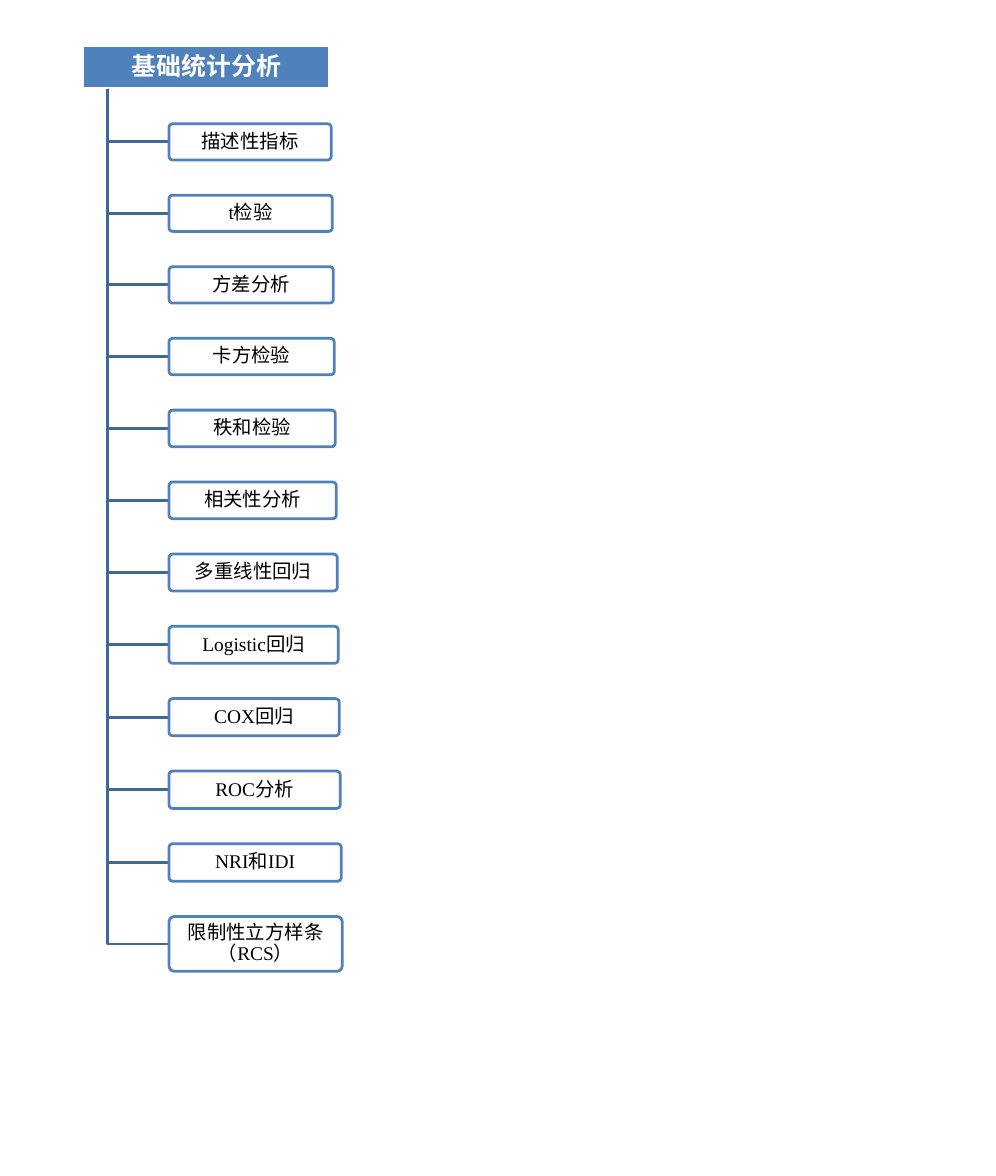
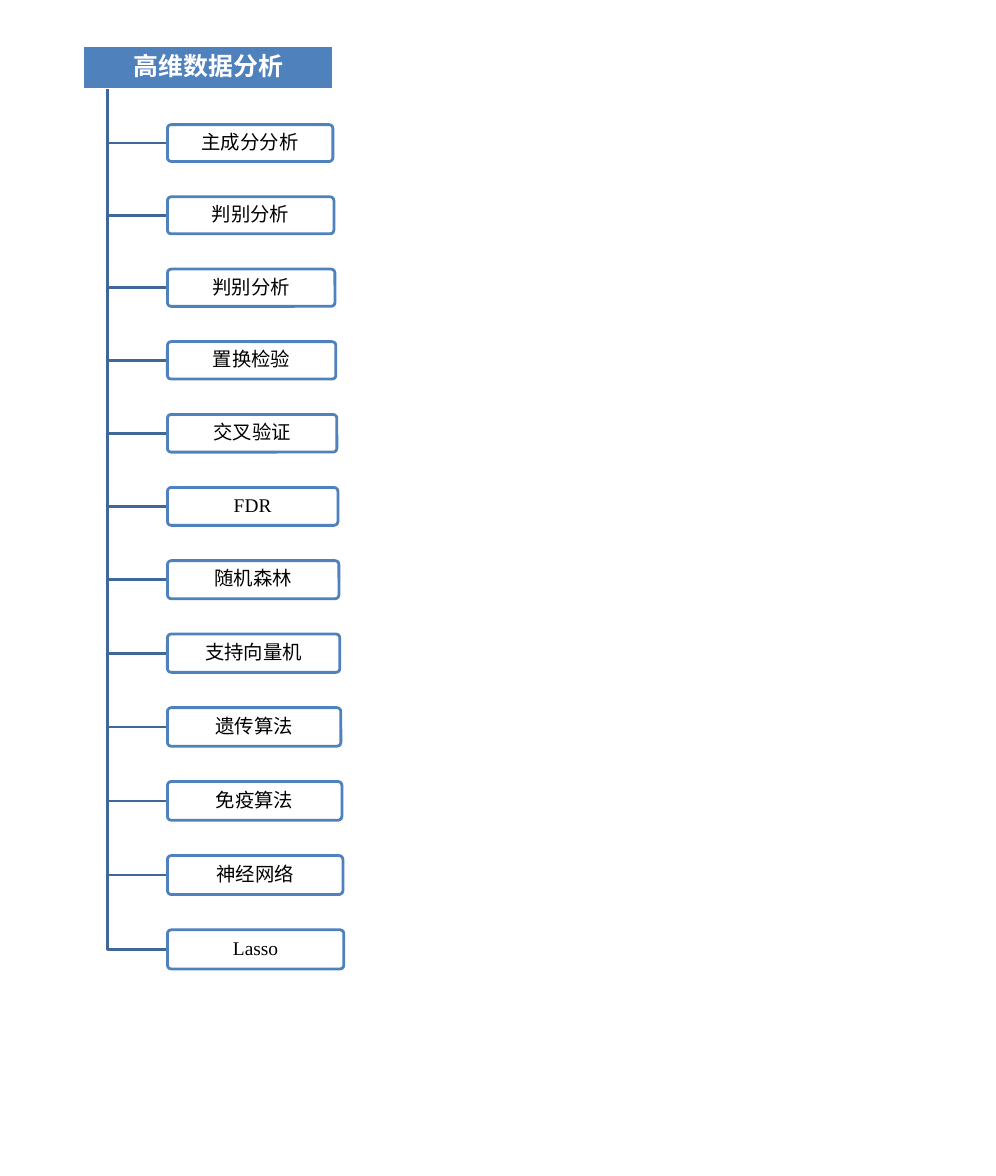
"""Build two slides that each show a heading with a tree of statistical methods."""
from pptx import Presentation
from pptx.dml.color import RGBColor
from pptx.enum.shapes import MSO_SHAPE
from pptx.enum.text import MSO_ANCHOR, MSO_AUTO_SIZE, PP_ALIGN
from pptx.oxml.xmlchemy import OxmlElement
from pptx.util import Cm, Pt

ROUNDED = MSO_SHAPE.ROUNDED_RECTANGLE
MIDDLE = MSO_ANCHOR.MIDDLE
NO_AUTOFIT = MSO_AUTO_SIZE.NONE
CENTER = PP_ALIGN.CENTER

BLUE = RGBColor(0x4F, 0x81, 0xBD)
DARK_BLUE = RGBColor(0x3F, 0x67, 0x97)
WHITE = RGBColor(0xFF, 0xFF, 0xFF)
BLACK = RGBColor(0x00, 0x00, 0x00)

TREES = [
    {
        "title": "基础统计分析",
        "title_size": (6.3, 1.09),
        "branch_left": 4.31,
        "widths": (4.14, 4.42),
        "heights": (0.92, 0.96),
        "tall": {"限制性立方样条（RCS）": 1.4},
        "methods": [
            "描述性指标", "t检验", "方差分析", "卡方检验", "秩和检验", "相关性分析",
            "多重线性回归", "Logistic回归", "COX回归", "ROC分析", "NRI和IDI",
            "限制性立方样条（RCS）",
        ],
    },
    {
        "title": "高维数据分析",
        "title_size": (6.4, 1.11),
        "branch_left": 4.27,
        "widths": (4.22, 4.5),
        "heights": (0.94, 1.0),
        "tall": {},
        "methods": [
            "主成分分析", "判别分析", "判别分析", "置换检验", "交叉验证", "FDR",
            "随机森林", "支持向量机", "遗传算法", "免疫算法", "神经网络", "Lasso",
        ],
    },
]

TITLE_LEFT, TITLE_TOP = 2.11, 1.17
GAP = 0.9
CORNER = 0.1
LINE_WIDTH = Pt(2)


def write_text(shape, text, *, size, color, font, bold=False, inset=(0.08, 0.05)):
    frame = shape.text_frame
    frame.word_wrap = True
    frame.auto_size = NO_AUTOFIT
    frame.vertical_anchor = MIDDLE
    frame.margin_left = frame.margin_right = Cm(inset[0])
    frame.margin_top = frame.margin_bottom = Cm(inset[1])
    paragraph = frame.paragraphs[0]
    paragraph.alignment = CENTER
    paragraph.line_spacing = 0.9
    run = paragraph.add_run()
    run.text = text
    run.font.size = Pt(size)
    run.font.name = font
    run.font.bold = bold
    run.font.color.rgb = color


def paint(shape, fill, line):
    shape.shadow.inherit = False
    if fill is None:
        shape.fill.background()
    else:
        shape.fill.solid()
        shape.fill.fore_color.rgb = fill
    shape.line.color.rgb = line
    shape.line.width = LINE_WIDTH


def add_heading(slide, text, width, height):
    heading = slide.shapes.title
    heading.left, heading.top = Cm(TITLE_LEFT), Cm(TITLE_TOP)
    heading.width, heading.height = Cm(width), Cm(height)
    geometry = OxmlElement("a:prstGeom")
    geometry.set("prst", "roundRect")
    geometry.append(OxmlElement("a:avLst"))
    heading.element.spPr.append(geometry)
    heading.adjustments[0] = CORNER
    paint(heading, BLUE, WHITE)
    write_text(heading, text, size=18, color=WHITE, font="Calibri", bold=True,
               inset=(0.12, 0.1))


def add_elbow(slide, spine, top, right, middle):
    builder = slide.shapes.build_freeform(Cm(spine), Cm(top))
    builder.add_line_segments([(Cm(spine), Cm(middle)), (Cm(right), Cm(middle))], close=False)
    paint(builder.convert_to_shape(), None, DARK_BLUE)


def add_method(slide, text, left, top, width, height):
    box = slide.shapes.add_shape(ROUNDED, Cm(left), Cm(top), Cm(width), Cm(height))
    box.adjustments[0] = CORNER
    paint(box, WHITE, BLUE)
    alpha = OxmlElement("a:alpha")
    alpha.set("val", "90000")
    box.element.spPr.xpath("./a:solidFill/a:srgbClr")[0].append(alpha)
    has_latin = any(character.isascii() for character in text)
    write_text(box, text, size=14, color=BLACK,
               font="Times New Roman" if has_latin else "Calibri")


def interpolate(ends, share):
    return ends[0] + (ends[1] - ends[0]) * share


def add_tree(presentation, tree):
    slide = presentation.slides.add_slide(presentation.slide_layouts[5])
    title_width, title_height = tree["title_size"]
    add_heading(slide, tree["title"], title_width, title_height)
    spine = TITLE_LEFT + title_width / 10
    title_bottom = TITLE_TOP + title_height
    left = tree["branch_left"]
    top = title_bottom + GAP
    last = len(tree["methods"]) - 1
    for index, method in enumerate(tree["methods"]):
        width = interpolate(tree["widths"], index / last)
        height = tree["tall"].get(method, interpolate(tree["heights"], index / last))
        add_elbow(slide, spine, title_bottom, left, top + height / 2)
        add_method(slide, method, left, top, width, height)
        top += height + GAP


presentation = Presentation()
presentation.slide_width, presentation.slide_height = Cm(25.4), Cm(30)
for tree in TREES:
    add_tree(presentation, tree)
presentation.save("out.pptx")
